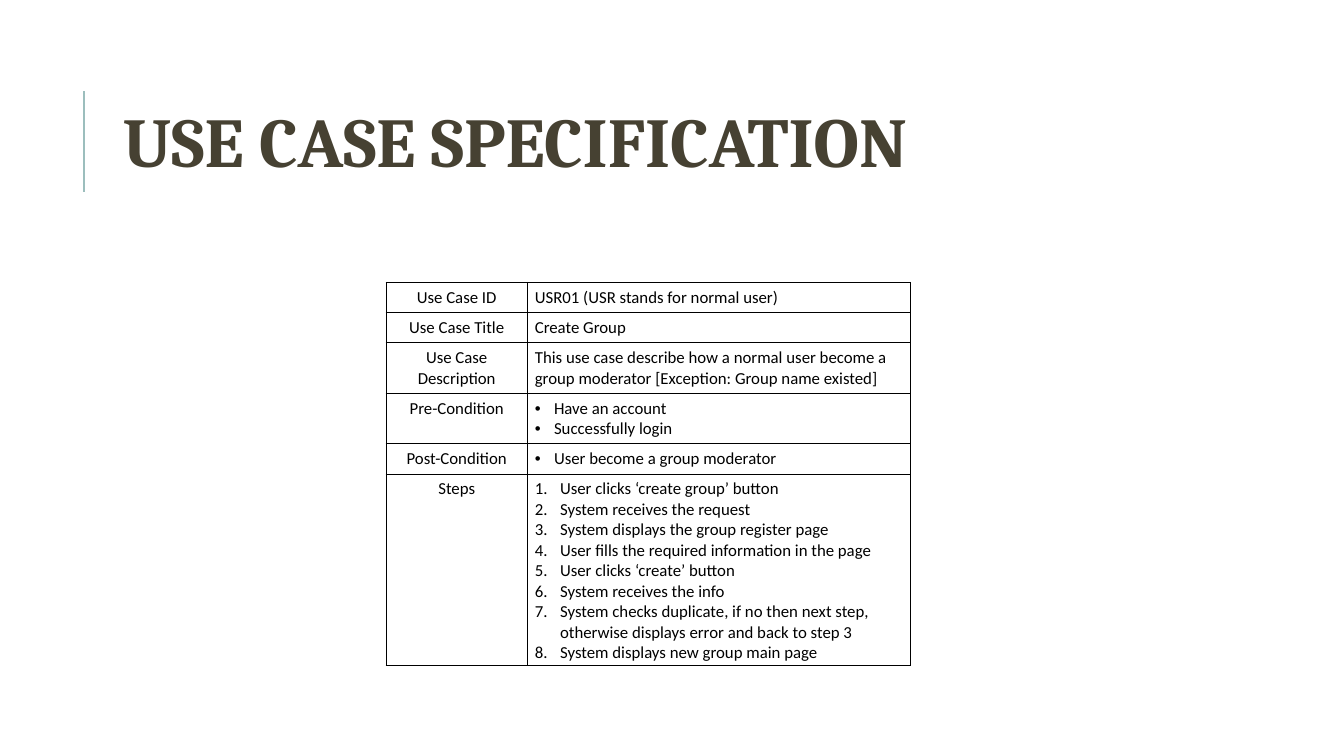
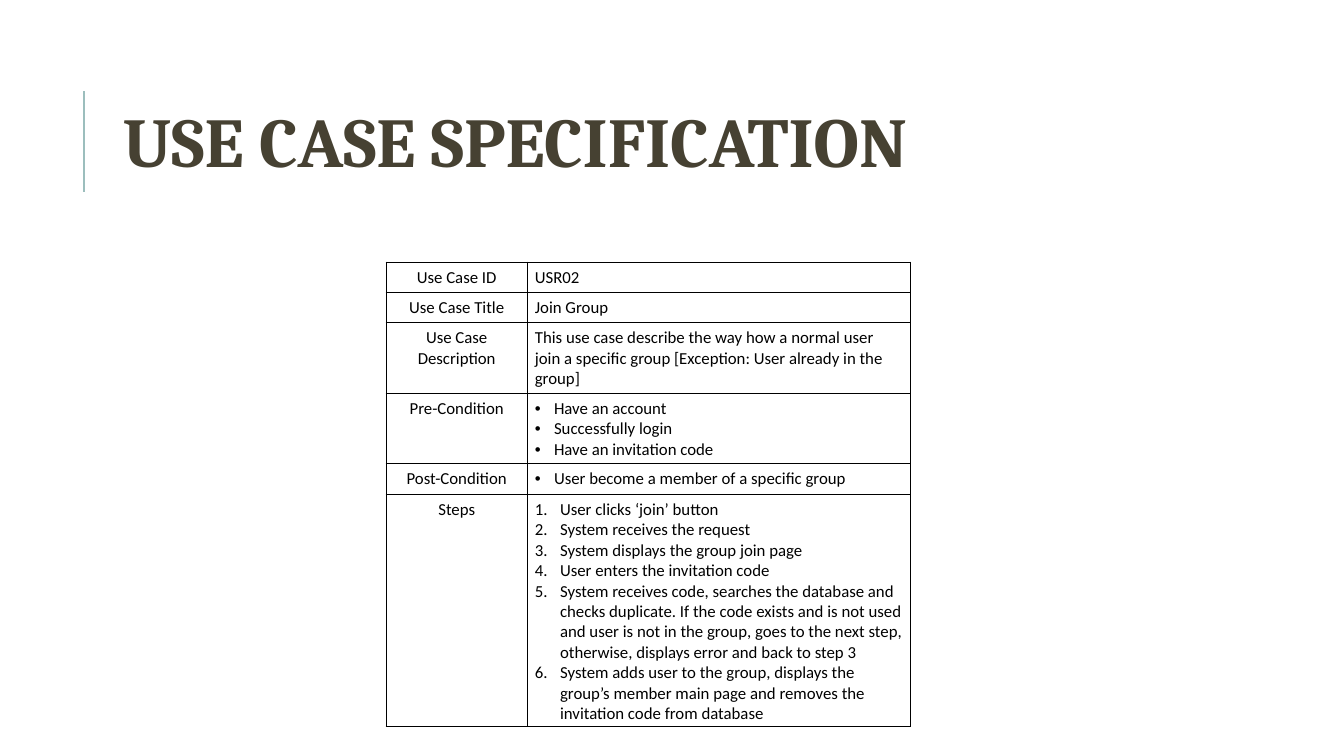
"""Build two use case specification slides, each with a titled table."""
from lxml.etree import SubElement
from pptx import Presentation
from pptx.dml.color import RGBColor
from pptx.enum.shapes import MSO_CONNECTOR
from pptx.enum.text import MSO_ANCHOR, PP_ALIGN
from pptx.oxml.ns import qn
from pptx.util import Inches, Pt

TITLE = "USE CASE SPECIFICATION"
LABELS = ["Use Case ID", "Use Case Title", "Use Case Description",
          "Pre-Condition", "Post-Condition", "Steps"]
LISTS = {"Pre-Condition": "bullet", "Post-Condition": "bullet", "Steps": "number"}
USE_CASES = [
    {"top": 2.8, "values": [
        ["USR01 (USR stands for normal user)"],
        ["Create Group"],
        ["This use case describe how a normal user become a group moderator "
         "[Exception: Group name existed]"],
        ["Have an account", "Successfully login"],
        ["User become a group moderator"],
        ["User clicks ‘create group’ button",
         "System receives the request",
         "System displays the group register page",
         "User fills the required information in the page",
         "User clicks ‘create’ button",
         "System receives the info",
         "System checks duplicate, if no then next step,\n"
         "otherwise displays error and back to step 3",
         "System displays new group main page"],
    ]},
    {"top": 2.6, "values": [
        ["USR02"],
        ["Join Group"],
        ["This use case describe the way how a normal user join a specific group "
         "[Exception: User already in the group]"],
        ["Have an account", "Successfully login", "Have an invitation code"],
        ["User become a member of a specific group"],
        ["User clicks ‘join’ button",
         "System receives the request",
         "System displays the group join page",
         "User enters the invitation code",
         "System receives code, searches the database and checks duplicate. "
         "If the code exists and is not used and user is not in the group, "
         "goes to the next step, otherwise, displays error and back to step 3",
         "System adds user to the group, displays the group’s member main page "
         "and removes the invitation code from database"],
    ]},
]
COLORS = {"title": "464132", "accent": "9CBEBD", "text": "000000", "border": "000000"}
COL_WIDTHS = [1.4, 3.8]
TABLE_LEFT, TABLE_HEIGHT, ROW_HEIGHT = 3.83, 3.28, 0.17
SIDE_MARGINS = 0.15
INDENTS = {"bullet": 0.19, "number": 0.25}


def rgb(name):
    return RGBColor.from_string(COLORS[name])


def add_list_mark(p, kind):
    pPr = p._p.get_or_add_pPr()
    indent = Inches(INDENTS[kind])
    pPr.set("marL", str(indent))
    pPr.set("indent", str(-indent))
    if kind == "bullet":
        SubElement(pPr, qn("a:buFont"), typeface="Arial")
        SubElement(pPr, qn("a:buChar"), char="•")
    else:
        SubElement(pPr, qn("a:buFont"), typeface="+mj-lt")
        SubElement(pPr, qn("a:buAutoNum"), type="arabicPeriod")


def write(tf, lines, size=12, font="Calibri", color="text", bold=False,
          align=PP_ALIGN.LEFT, spacing=None, mark=None):
    for i, line in enumerate(lines):
        p = tf.add_paragraph() if i else tf.paragraphs[0]
        p.text = line
        p.alignment = align
        if spacing:
            p.line_spacing = spacing
        if mark:
            add_list_mark(p, mark)
        for r in p.runs:
            r.font.size, r.font.name, r.font.bold = Pt(size), font, bold
            r.font.color.rgb = rgb(color)


def style_cell(cell):
    cell.margin_left = cell.margin_right = Inches(SIDE_MARGINS / 2)
    cell.margin_top = cell.margin_bottom = Inches(0.05)
    tcPr = cell._tc.get_or_add_tcPr()
    for side in ("lnL", "lnR", "lnT", "lnB"):
        ln = SubElement(tcPr, qn(f"a:{side}"), w=str(Pt(0.75)))
        fill = SubElement(ln, qn("a:solidFill"))
        SubElement(fill, qn("a:srgbClr"), val=COLORS["border"])
    cell.fill.background()


def add_title(s):
    rule = s.shapes.add_connector(MSO_CONNECTOR.STRAIGHT, Inches(0.83), Inches(1.9),
                                  Inches(0.83), Inches(0.9))
    rule.line.color.rgb = rgb("accent")
    rule.line.width = Pt(1.5)
    SubElement(rule._element.spPr, qn("a:effectLst"))
    tf = s.shapes.add_textbox(Inches(1.12), Inches(0.64),
                              Inches(10.63), Inches(1.64)).text_frame
    tf.word_wrap = True
    tf.vertical_anchor = MSO_ANCHOR.MIDDLE
    write(tf, [TITLE], size=50, font="Cambria", color="title", bold=True, spacing=0.8)


def add_use_case(s, top, values):
    frame = s.shapes.add_table(len(LABELS), len(COL_WIDTHS), Inches(TABLE_LEFT),
                               Inches(top), Inches(sum(COL_WIDTHS)),
                               Inches(TABLE_HEIGHT))
    table = frame.table
    table.first_row = table.horz_banding = False
    for col, width in zip(table.columns, COL_WIDTHS):
        col.width = Inches(width)
    for row, label, lines in zip(table.rows, LABELS, values):
        row.height = Inches(ROW_HEIGHT)
        name, value = row.cells
        style_cell(name)
        style_cell(value)
        write(name.text_frame, [label], align=PP_ALIGN.CENTER)
        write(value.text_frame, lines, mark=LISTS.get(label))
    frame.height = Inches(TABLE_HEIGHT)


def main():
    prs = Presentation()
    prs.slide_width, prs.slide_height = Inches(13.33), Inches(7.5)
    for case in USE_CASES:
        s = prs.slides.add_slide(prs.slide_layouts[6])
        add_title(s)
        add_use_case(s, **case)
    prs.save("out.pptx")


if __name__ == "__main__":
    main()
